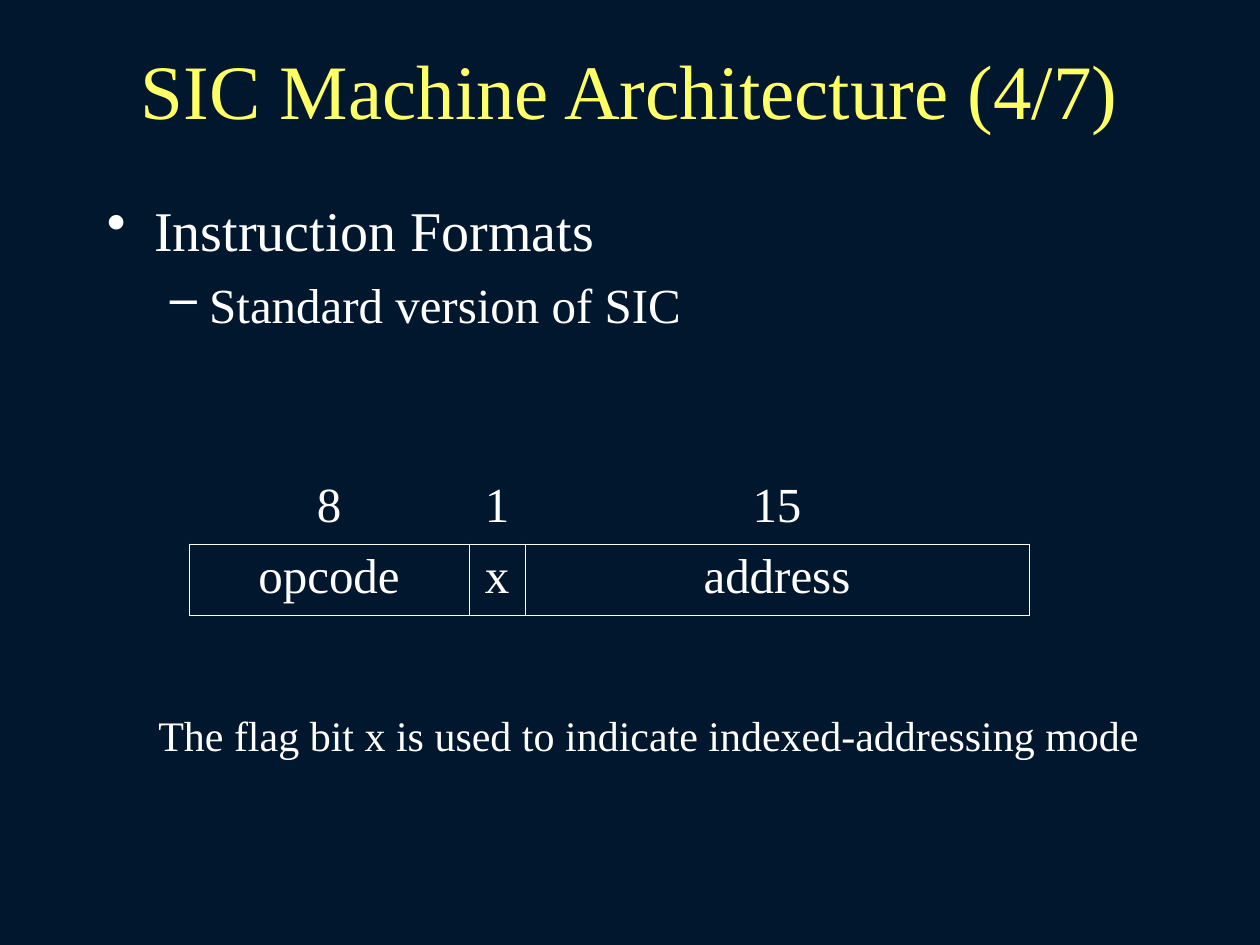
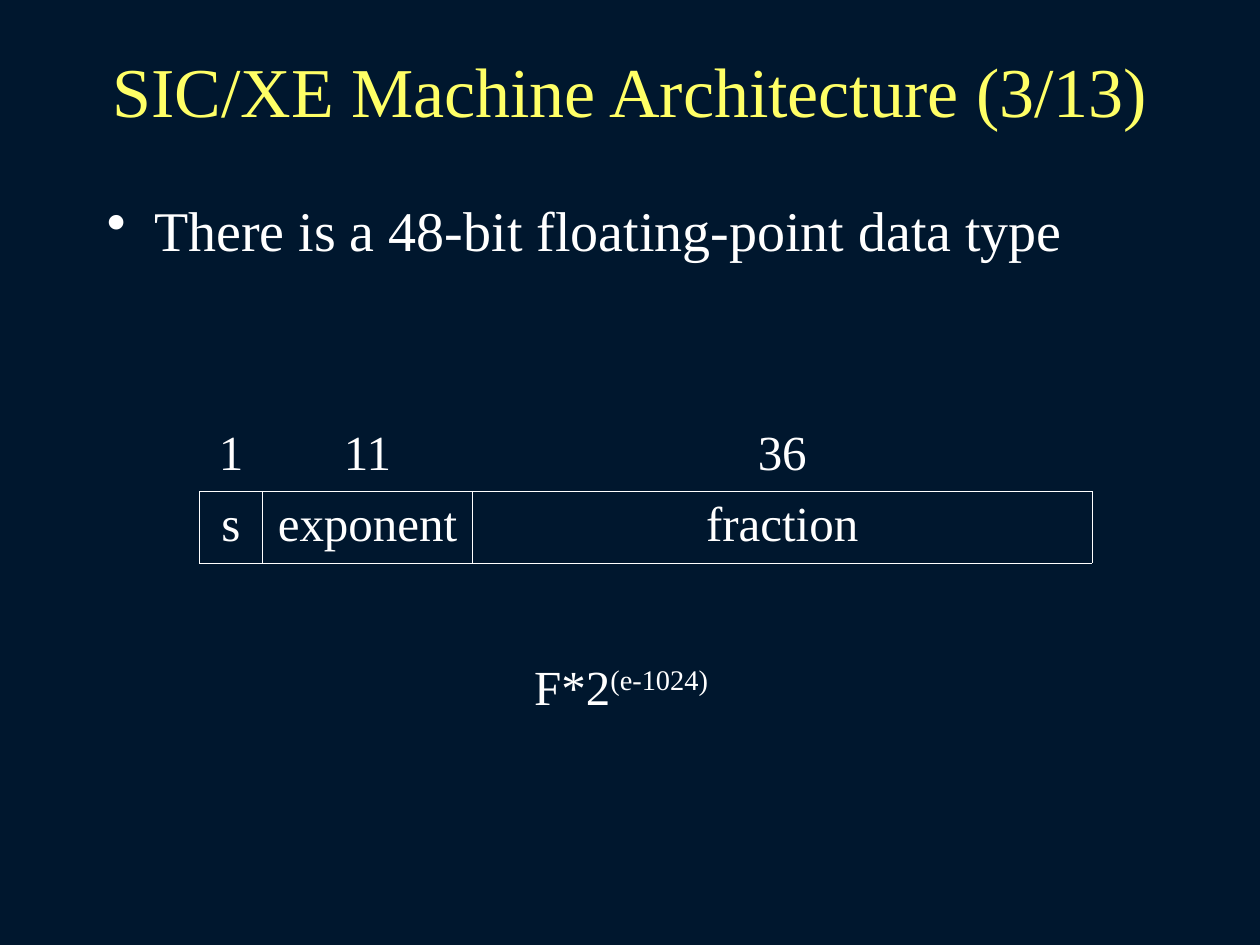
from lxml.etree import SubElement
from pptx import Presentation
from pptx.dml.color import RGBColor
from pptx.enum.text import MSO_ANCHOR as Anchor, PP_ALIGN as Align
from pptx.oxml.ns import qn
from pptx.util import Inches, Pt

FONT = "Times New Roman"
NAVY = RGBColor(0x00, 0x17, 0x2E)
YELLOW = RGBColor(0xFF, 0xFF, 0x66)
WHITE = RGBColor(0xFF, 0xFF, 0xFF)

presentation = Presentation()
presentation.slide_width, presentation.slide_height = Inches(10), Inches(7.5)
UNIT = presentation.slide_width // 120  # the slide is a grid of 120 columns by 90 rows
ROW_HEIGHT = 6.8

# Per bullet level: character, text size, left indent and hanging indent
BULLETS = [("•", 32, 4.5, 4.5), ("–", 28, 9.75, 3.75)]

SLIDES = [
    dict(title="SIC Machine Architecture (4/7)", title_size=44,
         bullets=["Instruction Formats", "Standard version of SIC"],
         table_at=(18, 45), widths=(26.67, 5.33, 48),
         rows=[("8", "1", "15"), ("opcode", "x", "address")],
         note="The flag bit x is used to indicate indexed-addressing mode",
         exponent="", note_size=24, note_at=(13.9, 67, 95.8, 6)),
    dict(title="SIC/XE Machine Architecture (3/13)", title_size=40,
         bullets=["There is a 48-bit floating-point data type"],
         table_at=(19, 40), widths=(6, 20, 59),
         rows=[("1", "11", "36"), ("s", "exponent", "fraction")],
         note="F*2", exponent="(e-1024)", note_size=28,
         note_at=(49.7, 61.9, 19, ROW_HEIGHT)),
]


def write_text(paragraph, text, size=28, color=WHITE, align=Align.LEFT, superscript=False):
    paragraph.alignment = align
    run = paragraph.add_run()
    run.text = text
    run.font.name, run.font.size = FONT, Pt(size)
    run.font.color.rgb = color
    if superscript:
        run.font._element.set("baseline", "30000")


def add_text_frame(slide, place, wrap=True):
    """Add a text box at grid place (left, top, width, height)."""
    box = slide.shapes.add_textbox(*(round(length * UNIT) for length in place))
    box.text_frame.word_wrap = wrap
    return box.text_frame


for content in SLIDES:
    slide = presentation.slides.add_slide(presentation.slide_layouts[6])
    slide.background.fill.solid()
    slide.background.fill.fore_color.rgb = NAVY

    title = add_text_frame(slide, (9, 3, 102, 11))
    title.vertical_anchor = Anchor.MIDDLE
    write_text(title.paragraphs[0], content["title"], size=content["title_size"],
               color=YELLOW, align=Align.CENTER)

    bullets = content["bullets"]
    body = add_text_frame(slide, (9, 18, 102, 9.2 * len(bullets)))
    for level, text in enumerate(bullets):
        character, size, indent, hanging = BULLETS[level]
        paragraph = body.add_paragraph() if level else body.paragraphs[0]
        properties = paragraph._p.get_or_add_pPr()
        properties.set("marL", str(round(indent * UNIT)))
        properties.set("indent", str(round(-hanging * UNIT)))
        SubElement(properties, qn("a:buChar")).set("char", character)
        if level:
            paragraph.level = level
            paragraph.space_before = Pt(7)
        write_text(paragraph, text, size=size)

    left, top = content["table_at"]
    widths, rows = content["widths"], content["rows"]
    place = (left, top, sum(widths), ROW_HEIGHT * len(rows))
    table = slide.shapes.add_table(
        len(rows), len(widths), *(round(length * UNIT) for length in place)).table
    table.first_row = table.horz_banding = False
    for column, width in zip(table.columns, widths):
        column.width = round(width * UNIT)
    for row_index, row in enumerate(rows):
        table.rows[row_index].height = round(ROW_HEIGHT * UNIT)
        for column_index, text in enumerate(row):
            cell = table.cell(row_index, column_index)
            write_text(cell.text_frame.paragraphs[0], text, align=Align.CENTER)
            cell_properties = cell._tc.get_or_add_tcPr()
            for side in "LRTB":
                border = SubElement(cell_properties, qn(f"a:ln{side}"), w=str(Pt(0.45)))
                if row_index == 1 or side == "B":
                    fill = SubElement(border, qn("a:solidFill"))
                    SubElement(fill, qn("a:srgbClr"), val=str(WHITE))
                else:
                    SubElement(border, qn("a:noFill"))
            cell.fill.background()

    note = add_text_frame(slide, content["note_at"], wrap=False).paragraphs[0]
    write_text(note, content["note"], size=content["note_size"])
    if content["exponent"]:
        write_text(note, content["exponent"], size=content["note_size"], superscript=True)

presentation.save("out.pptx")
